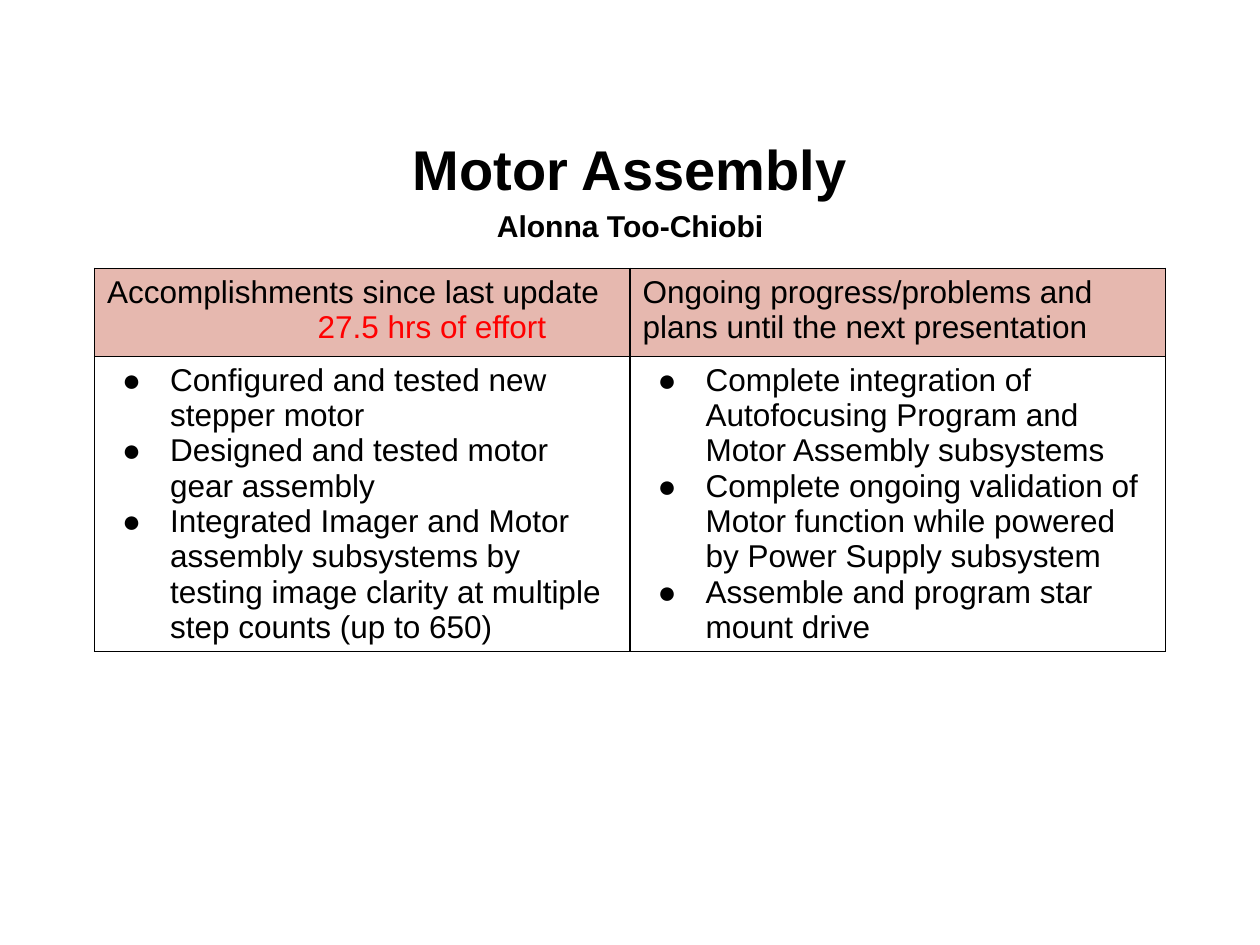
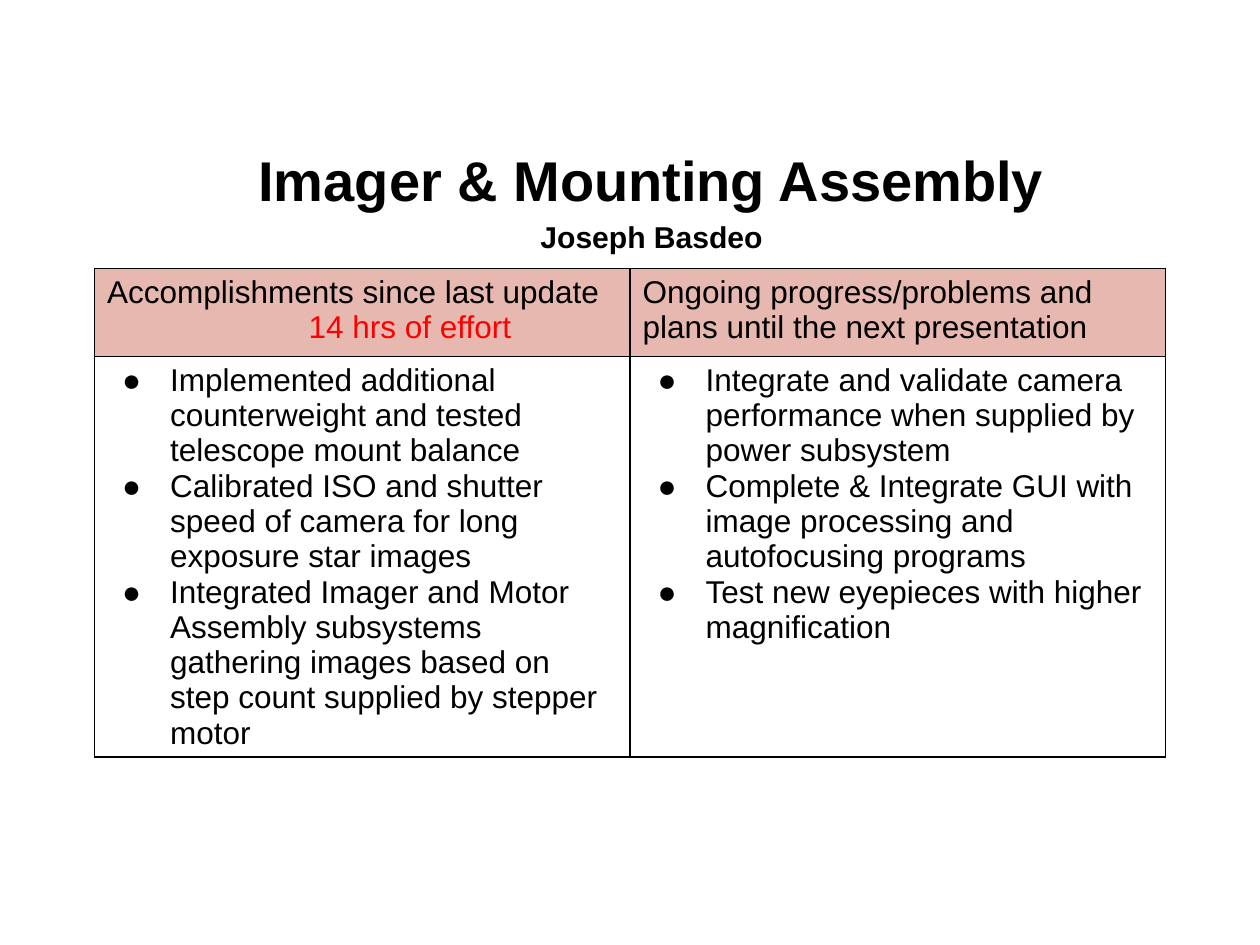
"""Build the two progress slides of the telescope team."""
from lxml import etree
from pptx import Presentation
from pptx import util as u
from pptx.dml.color import RGBColor
from pptx.enum import text
from pptx.oxml import ns

FONT = "Arial"
COLORS = {"ink": "000000", "effort": "FF0000", "head": "E6B8AF"}
HEADS = ("Accomplishments since last update",
         "Ongoing progress/problems and plans until the next presentation")
LEFT, TOP, COL, HEAD = 0.75, 2.13, 4.25, 0.7

SLIDES = [
    {"title": "Motor Assembly", "name": "Alonna Too-Chiobi", "at": (0.5, 1.02),
     "effort": "27.5 hrs of effort", "indent": 1.67, "body": 2.34,
     "done": ["Configured and tested new stepper motor",
              "Designed and tested motor gear assembly",
              "Integrated Imager and Motor assembly subsystems by testing "
              "image clarity at multiple step counts (up to 650)"],
     "next": ["Complete integration of Autofocusing Program and Motor "
              "Assembly subsystems",
              "Complete ongoing validation of Motor function while powered "
              "by Power Supply subsystem",
              "Assemble and program star mount drive"]},
    {"title": "Imager & Mounting Assembly", "name": "Joseph Basdeo",
     "at": (0.67, 1.11),
     "effort": "14 hrs of effort", "indent": 1.6, "body": 3.18,
     "done": ["Implemented additional counterweight and tested telescope "
              "mount balance",
              "Calibrated ISO and shutter speed of camera for long exposure "
              "star images",
              "Integrated Imager and Motor Assembly subsystems gathering "
              "images based on step count supplied by stepper motor"],
     "next": ["Integrate and validate camera performance when supplied by "
              "power subsystem",
              "Complete & Integrate GUI with image processing and "
              "autofocusing programs",
              "Test new eyepieces with higher magnification"]},
]


def add(parent, tag, **attrs):
    return etree.SubElement(parent, ns.qn(tag), **attrs)


def style(para, size, color="ink", bold=False):
    font = para.font
    font.name, font.size, font.bold = FONT, u.Pt(size), bold
    font.color.rgb = RGBColor.from_string(COLORS[color])


def indent(para, left, first=0):
    props = para._p.get_or_add_pPr()
    props.set("marL", str(u.Inches(left)))
    props.set("indent", str(u.Inches(first)))
    return props


def bullet(para):
    props = indent(para, 0.5, -0.38)
    add(add(props, "a:buClr"), "a:srgbClr", val=COLORS["ink"])
    add(props, "a:buFont", typeface=FONT)
    add(props, "a:buChar", char="●")


def border(cell):
    props = cell._tc.get_or_add_tcPr()
    for side in ("L", "R", "T", "B"):
        line = add(props, "a:ln" + side, w=str(u.Pt(1)))
        add(add(line, "a:solidFill"), "a:srgbClr", val=COLORS["ink"])


def add_title(slide, data):
    box = slide.shapes.title
    box.left, box.top = map(u.Inches, data["at"])
    box.width, box.height = u.Inches(9), u.Inches(0.88)
    frame = box.text_frame
    frame.auto_size = text.MSO_AUTO_SIZE.NONE
    frame.vertical_anchor = text.MSO_ANCHOR.MIDDLE
    frame.text = data["title"] + "\n" + data["name"]
    for para, size in zip(frame.paragraphs, (32, 17.2)):
        para.alignment = text.PP_ALIGN.CENTER
        para.line_spacing = 1.15
        style(para, size, bold=True)


def fill_cell(cell, lines, head):
    border(cell)
    if head:
        cell.fill.solid()
        cell.fill.fore_color.rgb = RGBColor.from_string(COLORS["head"])
    else:
        cell.fill.background()
    cell.text_frame.text = "\n".join(lines)
    for para in cell.text_frame.paragraphs:
        if not head:
            bullet(para)
        style(para, 18)


def add_grid(slide, data):
    size = (LEFT, TOP, 2 * COL, HEAD + data["body"])
    grid = slide.shapes.add_table(2, 2, *map(u.Inches, size)).table
    grid.first_row = grid.horz_banding = False
    for row, high in zip(grid.rows, (HEAD, data["body"])):
        row.height = u.Inches(high)
    heads = ([HEADS[0], data["effort"]], [HEADS[1]])
    for col, (top, items) in enumerate(zip(heads, (data["done"], data["next"]))):
        fill_cell(grid.cell(0, col), top, True)
        fill_cell(grid.cell(1, col), items, False)
    effort = grid.cell(0, 0).text_frame.paragraphs[1]
    indent(effort, data["indent"])
    style(effort, 18, "effort")


def main():
    deck = Presentation()
    deck.slide_width, deck.slide_height = u.Inches(10), u.Inches(7.5)
    for data in SLIDES:
        slide = deck.slides.add_slide(deck.slide_layouts[5])
        add_title(slide, data)
        add_grid(slide, data)
    deck.save("out.pptx")


if __name__ == "__main__":
    main()
